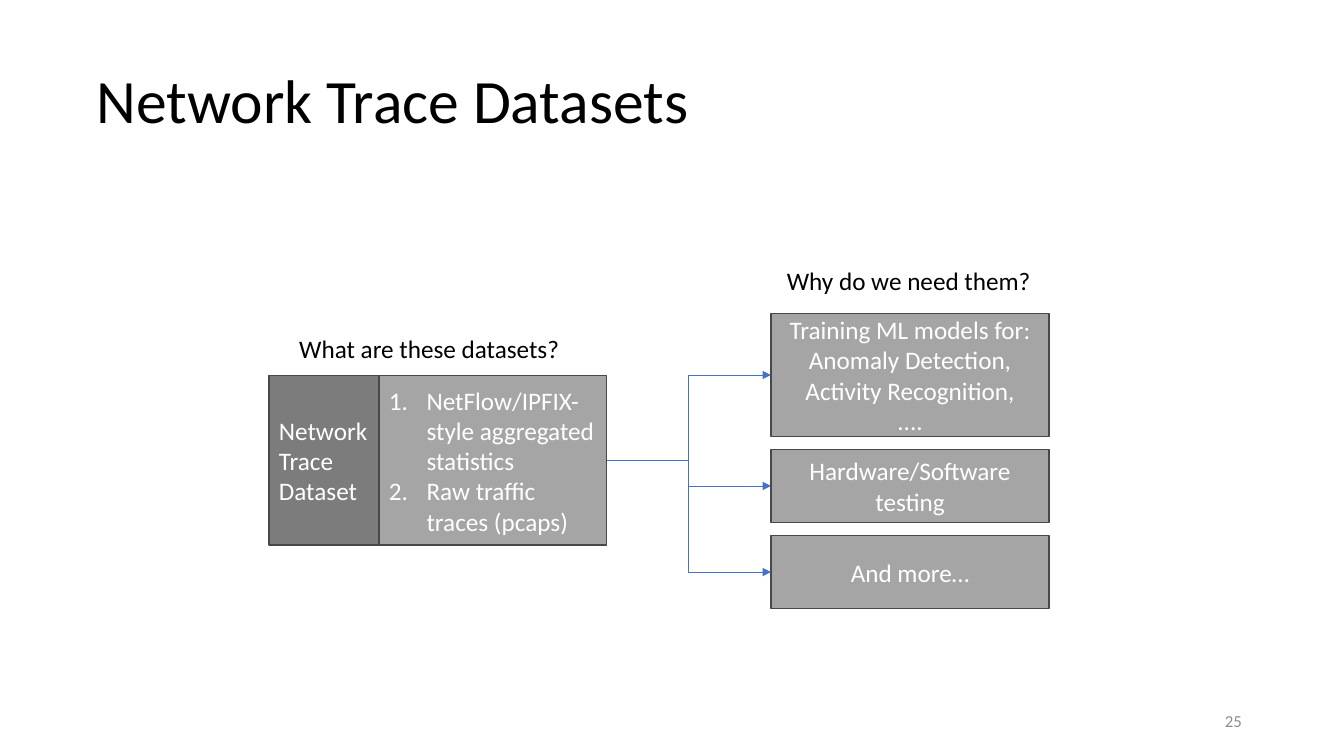
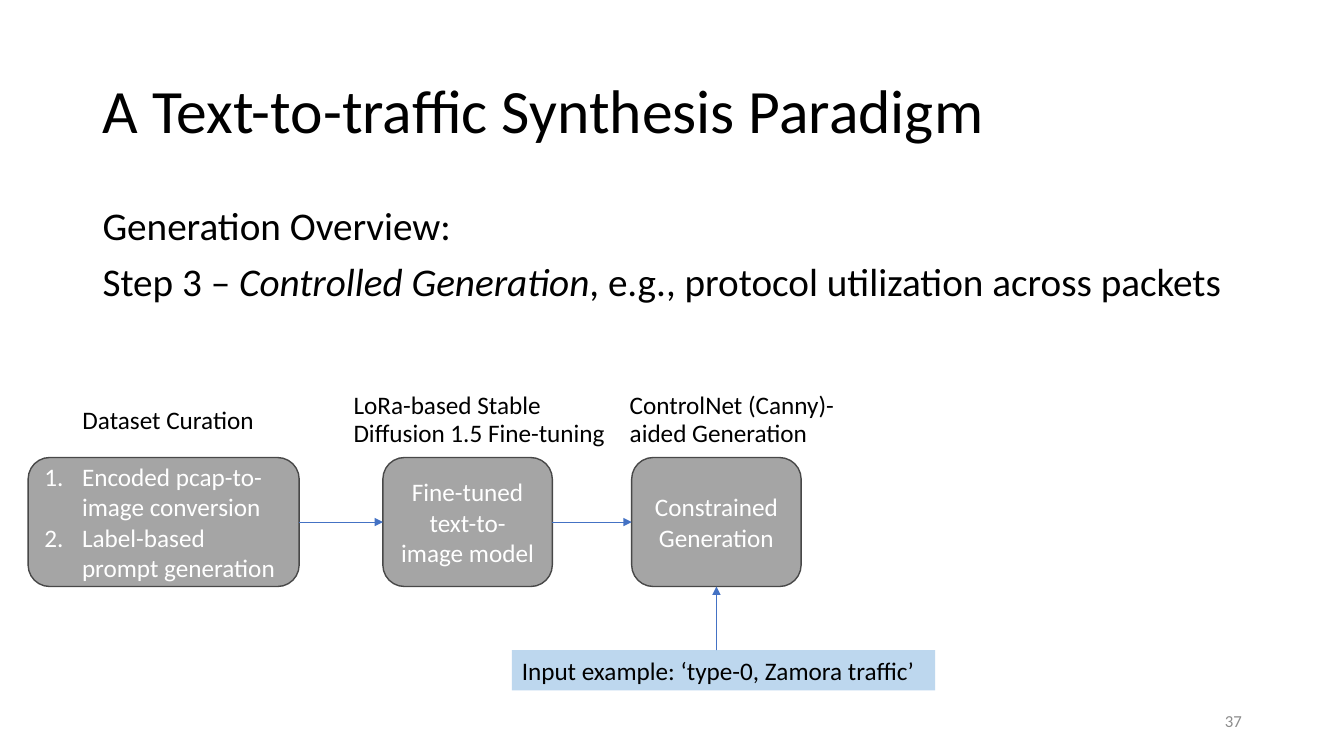
from lxml.etree import SubElement
from pptx import Presentation
from pptx.dml.color import RGBColor
from pptx.enum.shapes import MSO_CONNECTOR, MSO_SHAPE
from pptx.enum.text import MSO_ANCHOR, MSO_AUTO_SIZE, PP_ALIGN
from pptx.oxml.ns import qn
from pptx.util import Cm, Pt

BLACK = RGBColor(0x00, 0x00, 0x00)
WHITE = RGBColor(0xFF, 0xFF, 0xFF)
GRAY = RGBColor(0xA5, 0xA5, 0xA5)
DARK_GRAY = RGBColor(0x7C, 0x7C, 0x7C)
OUTLINE = RGBColor(0x48, 0x48, 0x48)
NUMBER_GRAY = RGBColor(0x8C, 0x8C, 0x8C)
BLUE = RGBColor(0x44, 0x72, 0xC4)
LIGHT_BLUE = RGBColor(0xBD, 0xD7, 0xEE)

FONT = "Calibri"
TITLE_ONLY, TITLE_AND_BODY = 5, 1
TOP, LEFT, BOTTOM, RIGHT = range(4)
CONTENT_WIDTH = 29.21
LIST_INDENT = Cm(0.95)


class Deck:
    """Holds the style and the current slide; all lengths are in cm."""

    def __init__(self):
        self.prs = Presentation()
        self.prs.slide_width = Cm(33.87)
        self.prs.slide_height = Cm(19.05)
        self.slide = None

    def new_slide(self, layout, title, x, y, number):
        self.slide = self.prs.slides.add_slide(self.prs.slide_layouts[layout])
        sp = self.slide.shapes.title
        self.place(sp, x, y, CONTENT_WIDTH, 3.68)
        self.set_text(sp, [title], 44, anchor=MSO_ANCHOR.MIDDLE, spacing=0.9)
        self.text([number], 23.93, 17.65, 7.62, 1.02, 12, NUMBER_GRAY,
                  align=PP_ALIGN.RIGHT, anchor=MSO_ANCHOR.MIDDLE)

    def place(self, sp, x, y, w, h):
        sp.left, sp.top, sp.width, sp.height = Cm(x), Cm(y), Cm(w), Cm(h)

    def set_text(self, sp, lines, size=18, color=BLACK, align=PP_ALIGN.LEFT,
                 anchor=MSO_ANCHOR.TOP, spacing=1.0, gap=0, bullet=None):
        """Fill a shape with paragraphs; text between asterisks is italic."""
        tf = sp.text_frame
        tf.word_wrap = True
        tf.auto_size = MSO_AUTO_SIZE.NONE
        tf.vertical_anchor = anchor
        for i, line in enumerate(lines):
            p = tf.add_paragraph() if i else tf.paragraphs[0]
            if bullet:
                self.set_bullet(p, bullet)
            p.alignment = align
            p.line_spacing = spacing
            p.space_before = Pt(gap if i else 0)
            for j, part in enumerate(line.split("*")):
                r = p.add_run()
                r.text = part
                r.font.name = FONT
                r.font.size = Pt(size)
                r.font.color.rgb = color
                r.font.italic = j % 2 == 1

    def set_bullet(self, p, bullet):
        pPr = p._p.get_or_add_pPr()
        indent = LIST_INDENT if bullet == "buAutoNum" else 0
        pPr.set("marL", str(indent))
        pPr.set("indent", str(-indent))
        mark = SubElement(pPr, qn("a:" + bullet))
        if bullet == "buAutoNum":
            mark.set("type", "arabicPeriod")

    def body(self, lines, x, y, h):
        sp = self.slide.placeholders[1]
        self.place(sp, x, y, CONTENT_WIDTH, h)
        self.set_text(sp, lines, 28, spacing=0.9, gap=10, bullet="buNone")

    def text(self, lines, x, y, w, h, size=18, color=BLACK, fill=None, **style):
        sp = self.slide.shapes.add_textbox(Cm(x), Cm(y), Cm(w), Cm(h))
        if fill is not None:
            sp.fill.solid()
            sp.fill.fore_color.rgb = fill
        self.set_text(sp, lines, size, color, **style)

    def box(self, lines, x, y, w, h, shape=MSO_SHAPE.RECTANGLE, fill=GRAY,
            align=PP_ALIGN.CENTER, bullet=None):
        sp = self.slide.shapes.add_shape(shape, Cm(x), Cm(y), Cm(w), Cm(h))
        sp.shadow.inherit = False
        sp.fill.solid()
        sp.fill.fore_color.rgb = fill
        sp.line.color.rgb = OUTLINE
        sp.line.width = Pt(1)
        self.set_text(sp, lines, color=WHITE, align=align,
                      anchor=MSO_ANCHOR.MIDDLE, bullet=bullet)
        return sp

    def numbered_box(self, lines, x, y, w, h, shape=MSO_SHAPE.RECTANGLE):
        return self.box(lines, x, y, w, h, shape, align=PP_ALIGN.LEFT,
                        bullet="buAutoNum")

    def arrow(self, target, side=LEFT, source=None, start=(0, 0),
              kind=MSO_CONNECTOR.STRAIGHT):
        """Point at a side of target, from source's right side or from start."""
        x, y = Cm(start[0]), Cm(start[1])
        line = self.slide.shapes.add_connector(kind, x, y, x, y)
        if source is not None:
            line.begin_connect(source, RIGHT)
        line.end_connect(target, side)
        line.line.color.rgb = BLUE
        line.line.width = Pt(0.5)
        spPr = line.element.spPr
        SubElement(spPr.find(qn("a:ln")), qn("a:tailEnd")).set("type", "triangle")
        SubElement(spPr, qn("a:effectLst"))


def datasets_slide(deck):
    deck.new_slide(TITLE_ONLY, "Network Trace Datasets", 2.18, 0.76, "25")
    deck.text(["What are these datasets?"], 7.29, 8.28, 7.3, 1.02)
    deck.text(["Why do we need them?"], 19.58, 6.55, 6.9, 1.02)

    y, h = 9.47, 4.27
    deck.box(["Network Trace Dataset"], 6.78, y, 2.77, h, fill=DARK_GRAY,
             align=PP_ALIGN.LEFT)
    dataset = deck.numbered_box(
        ["NetFlow/IPFIX-style aggregated statistics",
         "Raw traffic traces (pcaps)"], 9.55, y, 5.74, h)

    uses = [
        (["Training ML models for:", "Anomaly Detection,",
          "Activity Recognition,", "...."], 3.1),
        (["Hardware/Software testing"], 1.85),
        (["And more…"], 1.85),
    ]
    y = 7.9
    for lines, h in uses:
        use = deck.box(lines, 19.43, y, 7.01, h)
        deck.arrow(use, source=dataset, kind=MSO_CONNECTOR.ELBOW)
        y += h + 0.32


def synthesis_slide(deck):
    deck.new_slide(TITLE_AND_BODY, "A Text-to-traffic Synthesis Paradigm",
                   2.33, 1.01, "37")
    deck.body(["Generation Overview:",
               "Step 3 – *Controlled Generation*, e.g., protocol utilization"
               " across packets"], 2.33, 5.08, 4.2)

    headings = [
        ("Dataset Curation", 1.83, 10.16, 5.13),
        ("LoRa-based Stable Diffusion 1.5 Fine-tuning", 8.66, 9.78, 7.24),
        ("ControlNet (Canny)-aided Generation", 15.62, 9.78, 5.87),
    ]
    for heading, x, y, w in headings:
        deck.text([heading], x, y, w, 11.53 - y, spacing=0.9)

    y, w, h = 11.53, 4.27, 3.25
    rounded = MSO_SHAPE.ROUNDED_RECTANGLE
    curation = deck.numbered_box(
        ["Encoded pcap-to-image conversion", "Label-based prompt generation"],
        0.71, y, 6.83, h, rounded)
    model = deck.box(["Fine-tuned text-to-image model"], 9.65, y, w, h, rounded)
    generation = deck.box(["Constrained Generation"], 15.92, y, w, h, rounded)
    deck.arrow(model, source=curation)
    deck.arrow(generation, source=model)

    input_y = 16.38
    deck.text(["Input example: ‘type-0, Zamora traffic’"],
              12.9, input_y, 10.67, 1.02, fill=LIGHT_BLUE)
    deck.arrow(generation, BOTTOM, start=(15.92 + w / 2, input_y))


def main():
    deck = Deck()
    datasets_slide(deck)
    synthesis_slide(deck)
    deck.prs.save("out.pptx")


if __name__ == "__main__":
    main()
